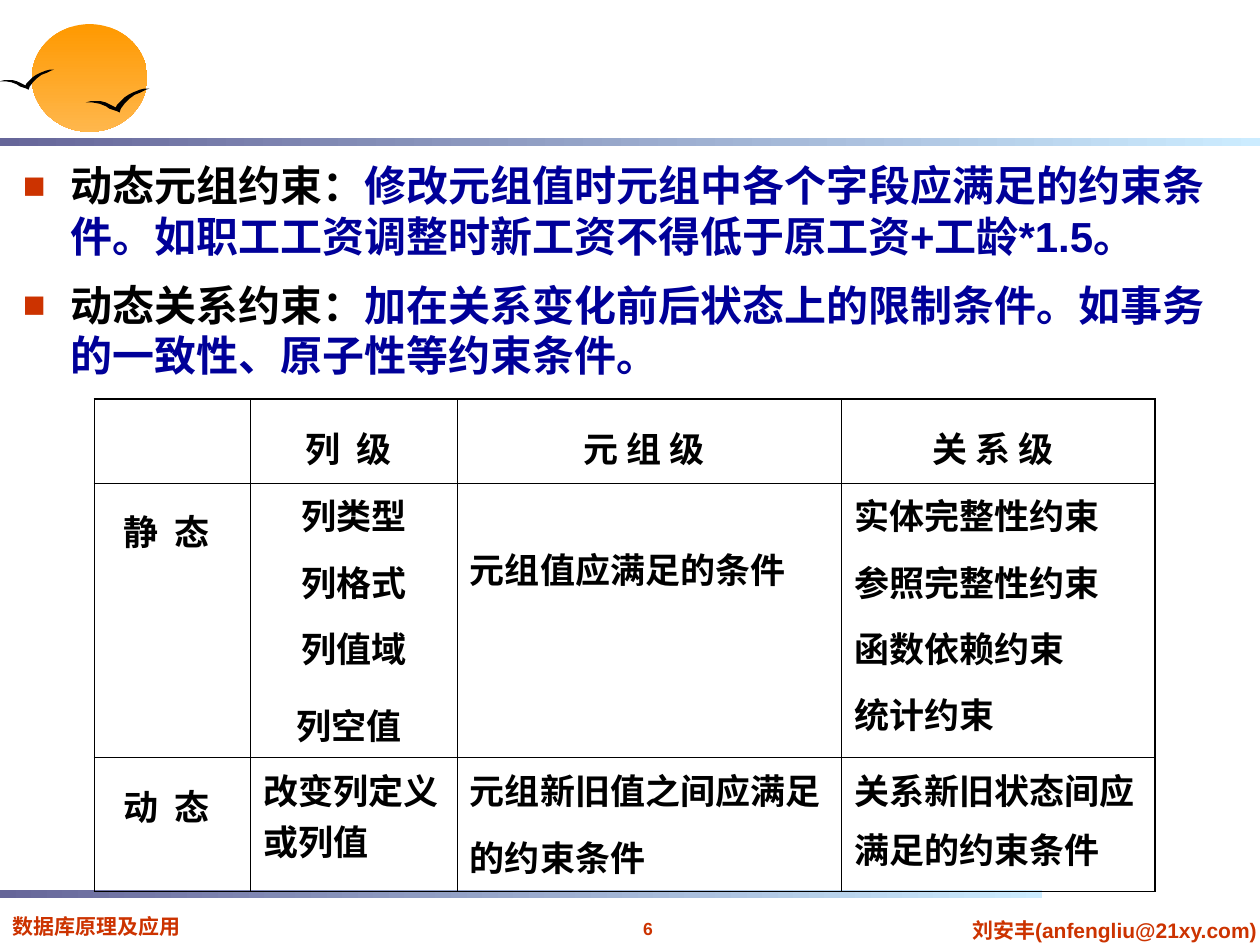
import pptx
import pptx.util
import pptx.dml.color
import pptx.enum.shapes
import pptx.enum.text
import pptx.oxml
import pptx.oxml.ns
from dataclasses import dataclass

Pt = pptx.util.Pt
qn = pptx.oxml.ns.qn
ALIGN = pptx.enum.text.PP_ALIGN
SHAPE = pptx.enum.shapes.MSO_SHAPE


@dataclass(frozen=True)
class Theme:
    font: str = "Arial"
    ink: str = "000000"
    blue: str = "000099"
    red: str = "CC3300"
    sun: tuple = ("FF9900", "FFB74C")
    bar: tuple = ("666699", "CCECFF")
    body: float = 24
    cell: float = 20
    foot: float = 12
    page: float = 10
    thin: float = 0.45
    thick: float = 1.08


T = Theme()

# Outline of a gull, in a box of 51 by 19 units
GULL = [(0, 11), (4, 10), (8, 10), (12, 10), (16, 11), (20, 13), (24, 15),
        (25, 13), (28, 10), (31, 7), (34, 5), (38, 3), (43, 1), (47, 0),
        (51, 0), (48, 1), (44, 3), (39, 5), (35, 8), (31, 12), (28, 16),
        (27, 19), (25, 18), (22, 17), (19, 16), (16, 14), (11, 12),
        (5, 11), (1, 11)]


def color(code):
    return pptx.dml.color.RGBColor.from_string(code)


def style(run, size, code):
    font = run.font
    font.name, font.size, font.bold = T.font, Pt(size), True
    font.color.rgb = color(code)


def blend(slide, kind, box, codes, angle):
    """Add a shape with a two-colour gradient and no outline."""
    shape = slide.shapes.add_shape(kind, *map(Pt, box))
    shape.shadow.inherit = False
    shape.line.fill.background()
    shape.fill.gradient()
    shape.fill.gradient_angle = angle
    for stop, code, place in zip(shape.fill.gradient_stops, codes, (0, 1)):
        stop.color.rgb = color(code)
        stop.position = place


def gull(slide, left, top, width, height):
    scale = (Pt(width) / 51, Pt(height) / 19)
    path = slide.shapes.build_freeform(*GULL[0], scale=scale)
    path.add_line_segments(GULL[1:], close=True)
    bird = path.convert_to_shape(Pt(left), Pt(top))
    bird.shadow.inherit = False
    bird.fill.solid()
    bird.fill.fore_color.rgb = color(T.ink)
    bird.line.fill.background()


def emblem(slide, left, top):
    """Sun with two gulls."""
    blend(slide, SHAPE.OVAL, (left + 18.2, top, 66, 61.5), T.sun, 270)
    gull(slide, left, top + 26, 31, 11.5)
    gull(slide, left + 49, top + 36.8, 36.5, 13.7)


def label(slide, box, text, size, align, wrap):
    note = slide.shapes.add_textbox(*map(Pt, box))
    frame = note.text_frame
    frame.word_wrap = wrap
    frame.text = text
    para = frame.paragraphs[0]
    para.alignment = align
    style(para.runs[0], size, T.red)


def footer(slide, left, top):
    label(slide, (left, top, 144, 21.6), "数据库原理及应用",
          T.foot, ALIGN.LEFT, True)
    label(slide, (left + 339, top + 2.4, 62.6, 19.4), "6",
          T.page, ALIGN.CENTER, False)
    label(slide, (left + 546.2, top + 2.4, 181.4, 21.6),
          "刘安丰(anfengliu@21xy.com)", T.foot, ALIGN.CENTER, False)


def bullet(para):
    props = para._p.get_or_add_pPr()
    props.set("marL", str(Pt(27)))
    props.set("indent", str(-Pt(27)))
    for tag, key, value in (("buClr", None, None), ("buSzPct", "val", "90000"),
                            ("buFont", "typeface", T.font),
                            ("buChar", "char", "■")):
        part = props.makeelement(qn("a:" + tag), {key: value} if key else {})
        props.append(part)
        if tag == "buClr":
            part.append(part.makeelement(qn("a:srgbClr"), {"val": T.red}))


def points(slide, box, items):
    """Bulleted list: a black term, then its meaning in blue."""
    body = slide.placeholders[1]
    body.left, body.top, body.width, body.height = map(Pt, box)
    frame = body.text_frame
    frame.auto_size = pptx.enum.text.MSO_AUTO_SIZE.NONE
    for i, (term, sense) in enumerate(items):
        para = frame.add_paragraph() if i else frame.paragraphs[0]
        para.text = term
        para.add_run().text = sense
        para.line_spacing = 1.0
        para.space_before = Pt(10.5 if i else 0)
        bullet(para)
        for run, code in zip(para.runs, (T.ink, T.blue)):
            style(run, T.body, code)


def border(cell, sides):
    """Draw the cell's edges; sides maps L, R, T, B to line widths."""
    props = cell._tc.get_or_add_tcPr()
    for i, side in enumerate("LRTB"):
        line = props.makeelement(qn("a:ln" + side), {"w": str(Pt(sides[side]))})
        fill = line.makeelement(qn("a:solidFill"), {})
        fill.append(fill.makeelement(qn("a:srgbClr"), {"val": T.ink}))
        line.append(fill)
        props.insert(i, line)


def write(cell, lines, align, tail):
    """Fill a cell; tail is the size of the space that ends it."""
    frame = cell.text_frame
    frame.text = "\n".join(lines)
    last = frame.paragraphs[-1]
    if tail:
        last.add_run().text = " "
    for i, para in enumerate(frame.paragraphs):
        para.alignment = align
        if i:
            para.space_before = Pt(10.5 if tail and para._p is last._p else 8.8)
        for j, run in enumerate(para.runs):
            style(run, tail if j else T.cell, T.ink)


def matrix(slide, box, cols, rows, cells):
    count, width = len(rows), len(cols)
    grid = slide.shapes.add_table(count, width, *map(Pt, box)).table
    grid.first_row = grid.horz_banding = False
    for col, size in zip(grid.columns, cols):
        col.width = Pt(size)
    for row, size in zip(grid.rows, rows):
        row.height = Pt(size)
    for r in range(count):
        for c in range(width):
            cell = grid.cell(r, c)
            cell.fill.background()
            edges = {"L": c == 0, "R": c == width - 1,
                     "T": r == 0, "B": r == count - 1}
            border(cell, {k: T.thick if v else T.thin for k, v in edges.items()})
            if cells[r][c]:
                write(cell, *cells[r][c])
    return grid


def main():
    deck = pptx.Presentation()
    deck.slide_width, deck.slide_height = Pt(720), Pt(540)
    slide = deck.slides.add_slide(deck.slide_layouts[1])
    title = slide.shapes.title._element
    title.getparent().remove(title)

    # Master decoration
    emblem(slide, 0, 13.8)
    footer(slide, 0, 518.4)
    for top, width in ((79, 720), (508.8, 595.5)):
        blend(slide, SHAPE.RECTANGLE, (0, top, width, 4.5), T.bar, 0)

    # Definitions
    points(slide, (5.8, 87.8, 702, 411), [
        ("动态元组约束：", "修改元组值时元组中各个字段应满足的约束条件。"
         "如职工工资调整时新工资不得低于原工资+工龄*1.5。"),
        ("动态关系约束：", "加在关系变化前后状态上的限制条件。"
         "如事务的一致性、原子性等约束条件。")])

    # Constraint table
    mid, left = ALIGN.CENTER, ALIGN.LEFT
    cells = [
        [None, (["列  级"], mid, 28), (["元 组 级"], mid, 28),
         (["关 系 级"], mid, 28)],
        [(["静  态"], mid, 28),
         (["列类型", "列格式", "列值域", "列空值"], mid, 24),
         (["元组值应满足的条件"], ALIGN.JUSTIFY, 0),
         (["实体完整性约束", "参照完整性约束", "函数依赖约束", "统计约束"],
          left, 0)],
        [(["动  态"], mid, 28), (["改变列定义或列值"], left, 0),
         (["元组新旧值之间应满足的约束条件"], left, 28),
         (["关系新旧状态间应满足的约束条件"], left, 24)]]
    rows = (47.8, 157, 76.5)
    grid = matrix(slide, (54, 228.2, 606.2, sum(rows)),
                  (89.2, 118.2, 219.6, 179.2), rows, cells)
    grid.cell(1, 2).margin_top = Pt(34.2)

    deck.save("out.pptx")


if __name__ == "__main__":
    main()
